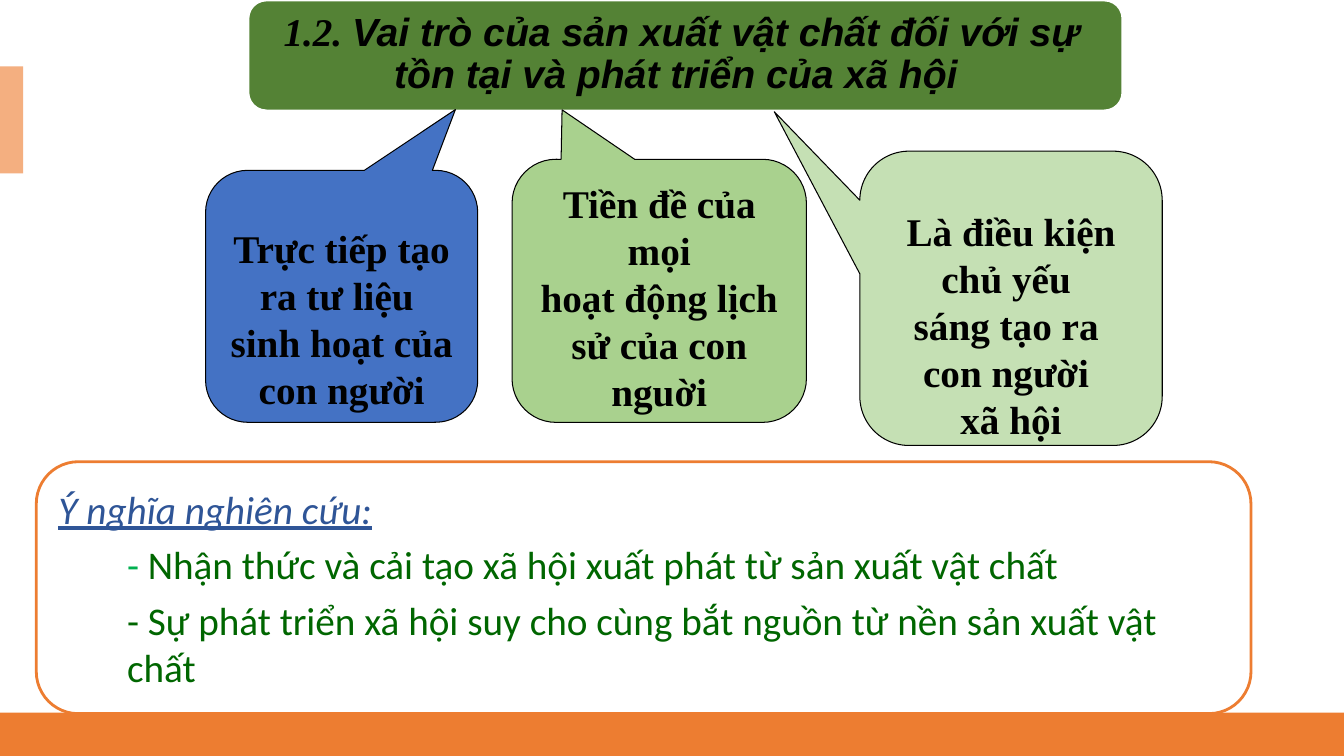
import pptx
import pptx.util
import pptx.dml.color
import pptx.enum.shapes
import pptx.enum.text
import pptx.oxml

COLOURS = {
    "orange": "ED7D31", "peach": "F4AF80", "banner": "548235",
    "blue": "4472C4", "green": "A9D18E", "pale": "C5E0B4",
    "black": "000000", "white": "FFFFFF",
    "heading": "2F5597", "dash": "00B050", "point": "006600",
}
WIDTH = pptx.util.Inches(13.33)
HEIGHT = pptx.util.Inches(7.5)
SHAPES = pptx.enum.shapes.MSO_SHAPE
ALIGN = pptx.enum.text.PP_ALIGN
ANCHOR = pptx.enum.text.MSO_ANCHOR

BANNER = (18.45, 0, 65.1, 14.67)
BANNER_TITLE = (19.05, 0.67, 63.3, 13.2)
MEANING = (2.7, 61.07, 90.38, 33.33)
ROLES = [
    ((15.3, 22.53, 20.25, 33.33), (0.418, -0.741), "blue", 0.41,
     ["Trực tiếp tạo ra tư liệu ", "sinh hoạt của con người"]),
    ((63.98, 20, 22.5, 38.93), (-0.783, -0.634), "pale", 0.41,
     ["Là điều kiện chủ yếu ", "sáng tạo ra ", "con người ", "xã hội"]),
    ((38.1, 21.07, 21.9, 34.8), (-0.33, -0.688), "green", 0.07,
     ["Tiền đề của mọi", "hoạt động lịch sử của con nguời"]),
]


def colour(name):
    return pptx.dml.color.RGBColor.from_string(COLOURS[name])


def area(percents):
    left, top, width, height = percents
    return (int(WIDTH * left / 100), int(HEIGHT * top / 100),
            int(WIDTH * width / 100), int(HEIGHT * height / 100))


def add_panel(slide, kind, percents, fill, line=None, weight=0):
    panel = slide.shapes.add_shape(kind, *area(percents))
    panel.shadow.inherit = False
    panel.fill.solid()
    panel.fill.fore_color.rgb = colour(fill)
    if line:
        panel.line.color.rgb = colour(line)
        panel.line.width = pptx.util.Pt(weight)
    else:
        panel.line.fill.background()
    return panel


def move_to_front(slide, placeholder, percents):
    placeholder.left, placeholder.top, placeholder.width, placeholder.height = area(percents)
    slide.shapes._spTree.append(placeholder._element)


def set_frame(frame, anchor, left, top, right, bottom):
    frame.word_wrap = True
    frame.auto_size = pptx.enum.text.MSO_AUTO_SIZE.NONE
    frame.vertical_anchor = anchor
    frame.margin_left, frame.margin_top, frame.margin_right, frame.margin_bottom = (
        pptx.util.Inches(inset) for inset in (left, top, right, bottom))


def next_paragraph(frame, index):
    return frame.add_paragraph() if index else frame.paragraphs[0]


def add_run(paragraph, text, font, ink, bold=False, italic=False, underline=False):
    run = paragraph.add_run()
    run.text = text
    run.font.name = font
    run.font.size = pptx.util.Pt(28)
    run.font.bold = bold
    run.font.italic = italic
    run.font.underline = underline
    run.font.color.rgb = colour(ink)


def add_banner(slide):
    add_panel(slide, SHAPES.ROUNDED_RECTANGLE, BANNER, "banner", "white", 2)
    title = slide.shapes.title
    move_to_front(slide, title, BANNER_TITLE)
    set_frame(title.text_frame, ANCHOR.MIDDLE, 0.24, 0, 0.24, 0)
    heading = title.text_frame.paragraphs[0]
    heading.alignment = ALIGN.CENTER
    heading.line_spacing = 0.9
    add_run(heading, "1.2. ", "Times New Roman", "black", True, True)
    add_run(heading, "Vai trò của sản xuất vật chất đối với sự tồn tại và phát triển của xã hội ",
            "Arial", "black", True, True)


def add_role(slide, percents, tip, fill, top_inset, lines):
    role = add_panel(slide, SHAPES.ROUNDED_RECTANGULAR_CALLOUT, percents, fill, "black", 0.75)
    role.adjustments[0], role.adjustments[1] = tip
    set_frame(role.text_frame, ANCHOR.TOP, 0.1, top_inset, 0.1, 0)
    for index, text in enumerate(lines):
        paragraph = next_paragraph(role.text_frame, index)
        paragraph.alignment = ALIGN.CENTER
        add_run(paragraph, text, "Times New Roman", "black", True)


def format_list_item(paragraph, indent, space_before):
    properties = paragraph._p.get_or_add_pPr()
    properties.set("marL", str(pptx.util.Inches(indent)))
    properties.set("indent", "0")
    paragraph.space_before = pptx.util.Pt(space_before)
    paragraph.line_spacing = 1.0
    properties.append(pptx.oxml.parse_xml(
        '<a:buNone xmlns:a="http://schemas.openxmlformats.org/drawingml/2006/main"/>'))


def add_meaning(slide):
    add_panel(slide, SHAPES.ROUNDED_RECTANGLE, MEANING, "white", "orange", 2)
    body = slide.placeholders[1]
    move_to_front(slide, body, MEANING)
    set_frame(body.text_frame, ANCHOR.MIDDLE, 0.22, 0.05, 0.22, 0.05)
    heading = body.text_frame.paragraphs[0]
    format_list_item(heading, 0, 0)
    add_run(heading, "Ý nghĩa nghiên cứu:", "Calibri", "heading", italic=True, underline=True)
    points = [
        [("- ", "dash"), ("Nhận thức và cải tạo xã hội xuất phát từ sản xuất vật chất", "point")],
        [("- Sự phát triển xã hội suy cho cùng bắt nguồn từ nền sản xuất vật chất", "point")],
    ]
    for point in points:
        paragraph = body.text_frame.add_paragraph()
        format_list_item(paragraph, 0.68, 6)
        for text, ink in point:
            add_run(paragraph, text, "Calibri", ink)


def main():
    presentation = pptx.Presentation()
    presentation.slide_width = WIDTH
    presentation.slide_height = HEIGHT
    slide = presentation.slides.add_slide(presentation.slide_layouts[1])
    add_panel(slide, SHAPES.RECTANGLE, (0, 94.27, 100, 5.73), "orange")
    add_panel(slide, SHAPES.RECTANGLE, (0, 8.8, 1.73, 14.13), "peach")
    add_banner(slide)
    for role in ROLES:
        add_role(slide, *role)
    add_meaning(slide)
    presentation.save("out.pptx")


if __name__ == "__main__":
    main()
